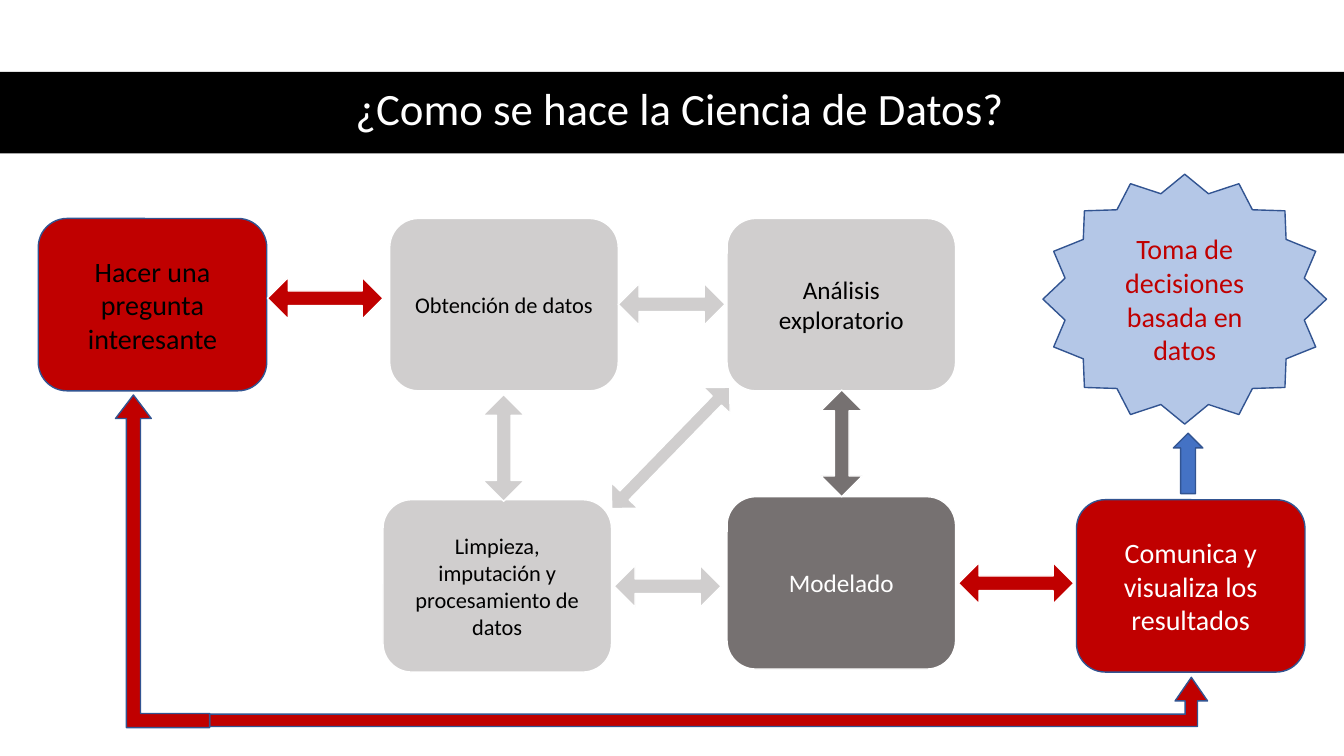
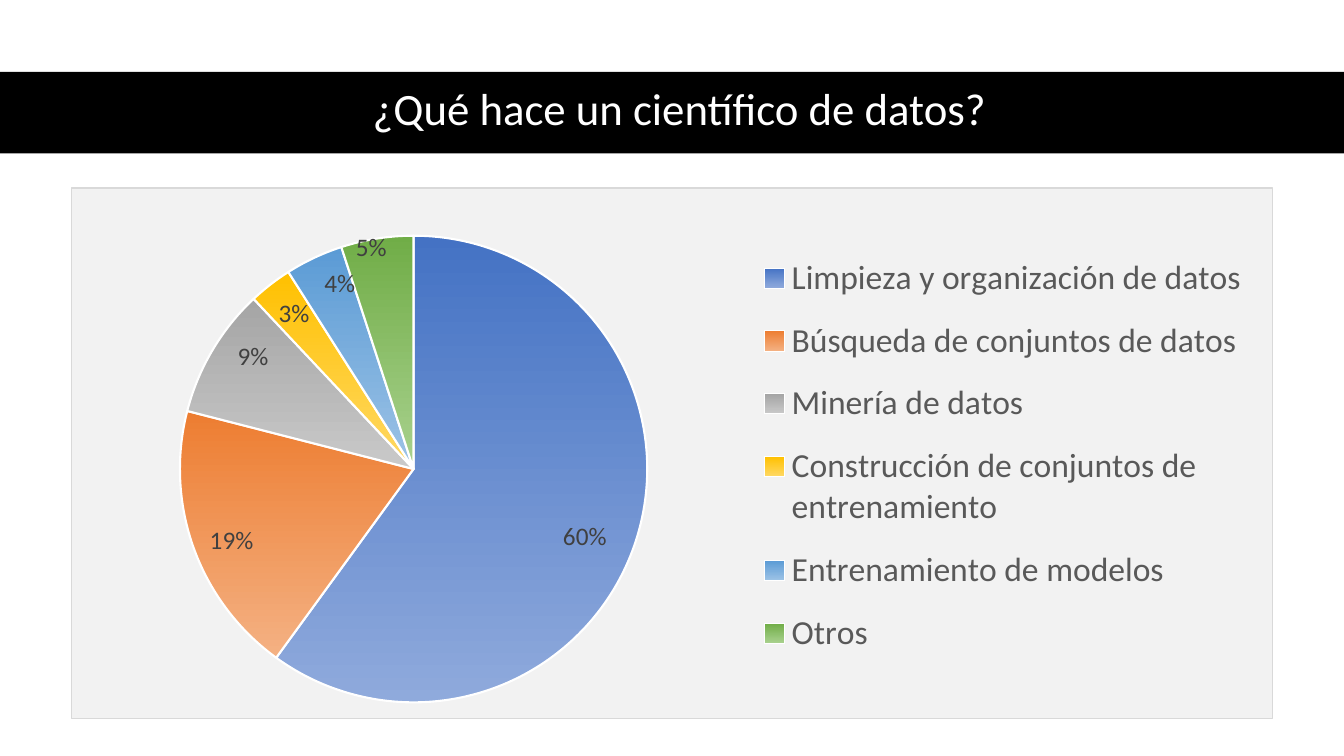
from dataclasses import dataclass

from pptx import Presentation
from pptx.chart.data import CategoryChartData
from pptx.dml.color import RGBColor
from pptx.enum.chart import XL_CHART_TYPE as ChartType
from pptx.enum.chart import XL_LABEL_POSITION as LabelPos
from pptx.enum.chart import XL_LEGEND_POSITION as LegendPos
from pptx.enum.shapes import MSO_SHAPE as Preset
from pptx.enum.text import MSO_ANCHOR as Anchor
from pptx.enum.text import PP_ALIGN as Align
from pptx.oxml import parse_xml
from pptx.oxml.ns import nsdecls, qn
from pptx.util import Inches, Pt


@dataclass(frozen=True)
class Theme:
    font: str = "Calibri"
    black: str = "000000"
    white: str = "FFFFFF"
    red: str = "C00000"
    light_gray: str = "D0CECE"
    dark_gray: str = "767171"
    blue: str = "4472C4"
    pale_blue: str = "B4C7E7"
    outline: str = "325491"
    panel: str = "F2F2F2"
    panel_edge: str = "D9D9D9"
    legend_text: str = "595959"
    label_text: str = "404040"
    title_size: int = 32
    legend_size: int = 24
    key_size: int = 20
    step_size: int = 18
    small_size: int = 16


theme = Theme()
rgb = RGBColor.from_string

deck = Presentation()
deck.slide_width, deck.slide_height = Inches(13.33), Inches(7.5)

# The grid has 100 columns and 100 rows
COL, ROW = deck.slide_width / 100, deck.slide_height / 100


def draw(slide, preset, cells, fill, line=None, text="", size=None, color=theme.black):
    """Draw a preset shape; cells are left, top, width and height on the grid."""
    left, top, width, height = cells
    shape = slide.shapes.add_shape(
        preset, int(left * COL), int(top * ROW), int(width * COL), int(height * ROW))
    shape.shadow.inherit = False
    shape.fill.solid()
    shape.fill.fore_color.rgb = rgb(fill)
    if line:
        shape.line.color.rgb = rgb(line)
        shape.line.width = Pt(1)
    else:
        shape.line.fill.background()
    if text:
        shape.text_frame.text = text
        for paragraph in shape.text_frame.paragraphs:
            paragraph.alignment = Align.CENTER
            font = paragraph.runs[0].font
            font.name, font.size, font.color.rgb = theme.font, Pt(size), rgb(color)
    return shape


def manual_layout(**values):
    """Return a chart layout element from its ordered settings."""
    settings = "".join(f'<c:{key} val="{value}"/>' for key, value in values.items())
    return parse_xml(f'<c:layout {nsdecls("c")}><c:manualLayout>{settings}'
                     "</c:manualLayout></c:layout>")


# Title and black band of each slide
slides = []
for heading in ("¿Como se hace la Ciencia de Datos?", "¿Qué hace un científico de datos?"):
    slide = deck.slides.add_slide(deck.slide_layouts[5])
    band = draw(slide, Preset.RECTANGLE, (0, 9.5, 100, 10.8), theme.black)
    slide.shapes._spTree.insert(2, band._element)
    title = slide.shapes.title
    title.left, title.top = int(4.6 * COL), int(9.3 * ROW)
    title.width, title.height = int(91.95 * COL), int(10.8 * ROW)
    title.text_frame.text = heading
    title.text_frame.vertical_anchor = Anchor.MIDDLE
    paragraph = title.text_frame.paragraphs[0]
    paragraph.alignment, paragraph.line_spacing = Align.CENTER, 0.9
    font = paragraph.runs[0].font
    font.name, font.size, font.color.rgb = theme.font, Pt(theme.title_size), rgb(theme.white)
    slides.append(slide)
process, work = slides

# Steps of the process
UPPER, LOWER = 28.9, 66.1
steps = [
    (2.85, UPPER, theme.red, theme.outline, "Hacer una pregunta interesante",
     theme.key_size, theme.black),
    (29, UPPER, theme.light_gray, theme.white, "Obtención de datos",
     theme.small_size, theme.black),
    (28.5, LOWER, theme.light_gray, theme.white,
     "Limpieza,\nimputación y procesamiento de datos", theme.small_size, theme.black),
    (54.1, UPPER, theme.light_gray, theme.white, "Análisis exploratorio",
     theme.step_size, theme.black),
    (54.1, 65.7, theme.dark_gray, theme.white, "Modelado", theme.step_size, theme.white),
    (80.1, LOWER, theme.red, theme.outline, "Comunica y visualiza los resultados",
     theme.key_size, theme.white),
]
for left, top, fill, line, text, size, color in steps:
    draw(process, Preset.ROUNDED_RECTANGLE, (left, top, 17, 22.8), fill, line, text, size, color)

# Two-way arrows between steps
SHORT, LONG = (7.95, 5.5), (8.6, 5.5)
exchanges = [
    (46, 37.5, SHORT, 180, theme.light_gray),
    (58.65, 55.9, SHORT, 90, theme.dark_gray),
    (43.6, 56.8, (12.6, 4.9), 134.2, theme.light_gray),
    (33.5, 56.5, SHORT, 90, theme.light_gray),
    (19.9, 36.7, LONG, 180, theme.red),
    (71.3, 74.4, LONG, 180, theme.red),
    (45.7, 74.8, SHORT, 180, theme.light_gray),
]
for left, top, extent, angle, fill in exchanges:
    exchange = draw(process, Preset.LEFT_RIGHT_ARROW, (left, top, *extent), fill, theme.white)
    exchange.rotation = angle
    exchange.adjustments[0], exchange.adjustments[1] = 0.35, 0.5

# Return path from the results to the question
returns = [
    ((15.6, 89.6, 74.25, 6.5), (0.25, 0.33, 0.48), False),
    ((8.6, 52.25, 7, 44), (0.15, 0.19, 0.25), True),
]
for cells, bends, mirrored in returns:
    path_arrow = draw(process, Preset.BENT_UP_ARROW, cells, theme.red, theme.outline)
    for index, bend in enumerate(bends):
        path_arrow.adjustments[index] = bend
    if mirrored:
        path_arrow._element.spPr.find(qn("a:xfrm")).set("flipH", "1")

# Decision reached from the results
decision = draw(process, Preset.STAR_16_POINT, (77.6, 23.05, 21.1, 33.05), theme.pale_blue,
                theme.outline, "Toma de decisiones basada en datos", theme.key_size, theme.red)
decision.adjustments[0] = 0.43
draw(process, Preset.UP_ARROW, (87.3, 57.3, 2.2, 8), theme.blue, theme.outline)

# Share of working time: name, value, gradient, label shift from the slice centre
tasks = [
    ("Limpieza y organización de datos", 60, ("4472C4", "8FAADC"), (0.05, 0.06)),
    ("Búsqueda de conjuntos de datos", 19, ("ED7D31", "F4B183"), (-0.06, 0.06)),
    ("Minería de datos", 9, ("A5A5A5", "C9C9C9"), (-0.05, -0.1)),
    ("Construcción de conjuntos de entrenamiento", 3, ("FFC000", "FFD966"), (-0.04, -0.12)),
    ("Entrenamiento de modelos", 4, ("5B9BD5", "9DC3E6"), (-0.02, -0.15)),
    ("Otros", 5, ("70AD47", "A9D18E"), (-0.02, -0.2)),
]
shares = CategoryChartData()
shares.categories = [task[0] for task in tasks]
shares.add_series("Series 1", [task[1] for task in tasks])
chart = work.shapes.add_chart(ChartType.PIE, int(5.25 * COL), int(24.8 * ROW),
                              int(89.5 * COL), int(70.3 * ROW), shares).chart
chart.has_title = False
chart.font.name, chart.font.size = theme.font, Pt(10)
chart.plots[0].vary_by_categories = True

# Slices and their percentages
pie = chart.plots[0].series[0]
for index, (_, _, gradient, _) in enumerate(tasks):
    point = pie.points[index]
    fill = point.format.fill
    fill.gradient()
    fill.gradient_angle = 270
    for stop, color in zip(fill.gradient_stops, gradient):
        stop.color.rgb = rgb(color)
    point.format.line.color.rgb = rgb(theme.white)
    point.format.line.width = Pt(1.5)
    font = point.data_label.font
    font.name, font.size, font.color.rgb = theme.font, Pt(theme.step_size), rgb(theme.label_text)
    point.data_label.position = LabelPos.CENTER
for label, task in zip(pie._element.xpath("c:dLbls/c:dLbl"), tasks):
    shift_x, shift_y = task[3]
    label.find(qn("c:idx")).addnext(manual_layout(x=shift_x, y=shift_y))
    label.find(qn("c:showVal")).set("val", "0")
    label.find(qn("c:showPercent")).set("val", "1")
pie.data_labels.show_value = False
pie.data_labels.show_percentage = True

# Legend
chart.has_legend = True
legend = chart.legend
legend.position, legend.include_in_layout = LegendPos.RIGHT, False
legend.font.name, legend.font.size = theme.font, Pt(theme.legend_size)
legend.font.color.rgb = rgb(theme.legend_text)
legend._element.find(qn("c:legendPos")).addnext(
    manual_layout(xMode="edge", yMode="edge", x=0.56, y=0.09, w=0.43, h=0.83))

# Plot area and panel
plot_area = chart._chartSpace.chart.plotArea
for automatic in plot_area.findall(qn("c:layout")):
    plot_area.remove(automatic)
plot_area.insert(0, manual_layout(layoutTarget="inner", xMode="edge", yMode="edge",
                                  x=0.09, y=0.09, w=0.39, h=0.88))
panel = parse_xml(
    f'<c:spPr {nsdecls("c", "a")}>'
    f'<a:solidFill><a:srgbClr val="{theme.panel}"/></a:solidFill>'
    f'<a:ln w="{Pt(0.75)}"><a:solidFill><a:srgbClr val="{theme.panel_edge}"/></a:solidFill></a:ln>'
    "</c:spPr>")
chart._chartSpace.find(qn("c:txPr")).addprevious(panel)

deck.save("out.pptx")
